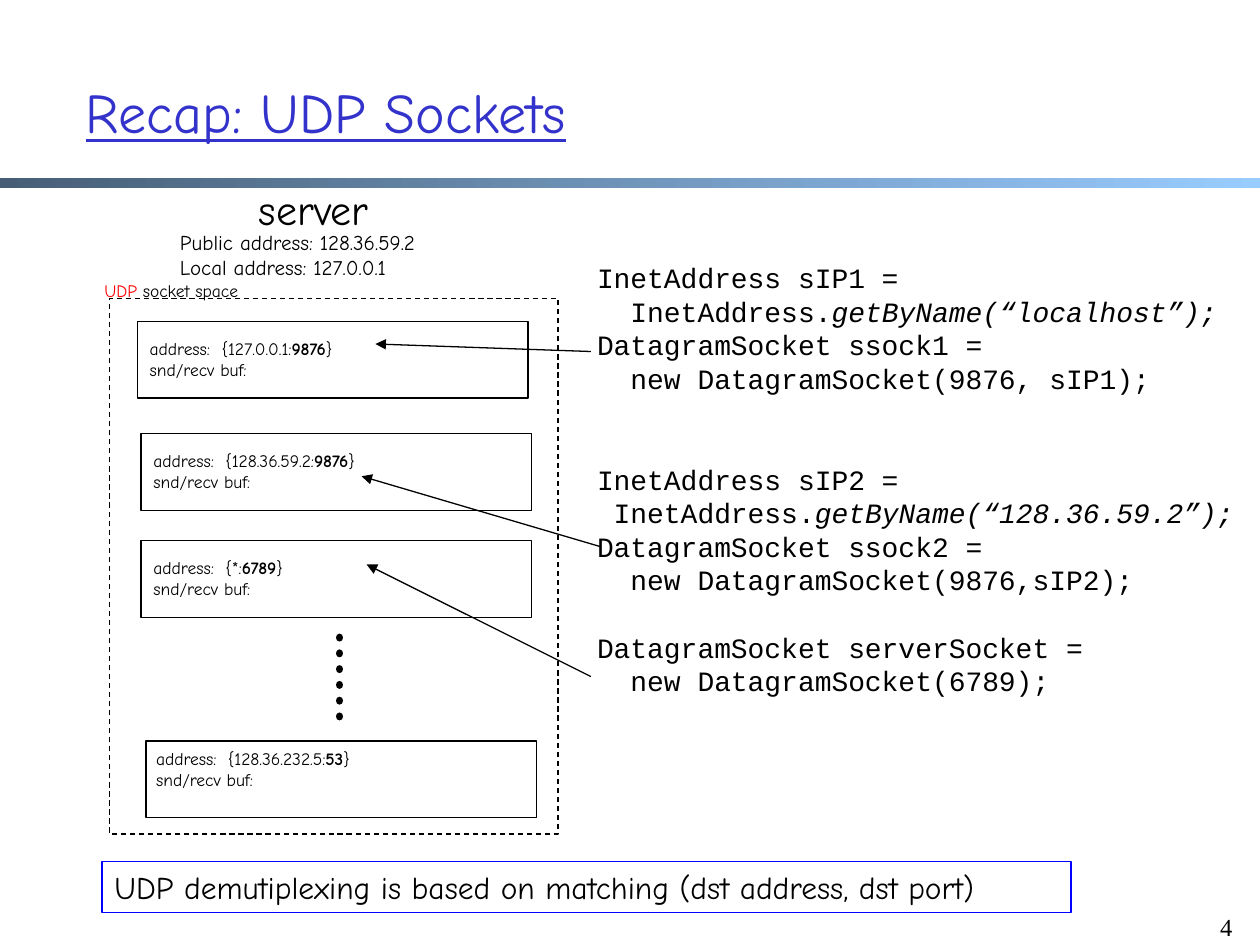
from lxml import etree
from pptx import Presentation
from pptx.dml.color import RGBColor
from pptx.enum.dml import MSO_LINE
from pptx.enum.shapes import MSO_CONNECTOR, MSO_SHAPE
from pptx.enum.text import MSO_ANCHOR, PP_ALIGN
from pptx.oxml.ns import qn
from pptx.util import Inches, Pt

BLACK = RGBColor(0, 0, 0)
RED = RGBColor(0xFF, 0, 0)
BLUE = RGBColor(0, 0, 0xFF)
TITLE_BLUE = RGBColor(0x33, 0x33, 0xCC)
BAR_DARK = RGBColor(0x47, 0x5E, 0x76)
BAR_LIGHT = RGBColor(0x99, 0xCC, 0xFF)

HAND, MONO, SERIF = "Comic Neue", "Courier New", "Times New Roman"
RECT, STRAIGHT = MSO_SHAPE.RECTANGLE, MSO_CONNECTOR.STRAIGHT
DASH, DOT = MSO_LINE.DASH, MSO_LINE.ROUND_DOT
TOP, MIDDLE = MSO_ANCHOR.TOP, MSO_ANCHOR.MIDDLE
LEFT, CENTER, RIGHT = PP_ALIGN.LEFT, PP_ALIGN.CENTER, PP_ALIGN.RIGHT

SLIDE_W, SLIDE_H = Inches(10), Inches(7.5)
COLUMNS = 100
CELL = SLIDE_W / COLUMNS  # square grid: 100 columns by 75 rows

FRAME_W, FRAME_H = 31, 6.1
# column and row inside the socket space, text insets, address, port
SOCKETS = [
    (2.2, 1.8, 1, 1.3, "127.0.0.1", "9876"),
    (2.5, 10.7, 1, 1.3, "128.36.59.2", "9876"),
    (2.5, 19.2, 1, 1.3, "*", "6789"),
    (2.9, 35.1, 0.8, 0.6, "128.36.232.5", "53"),
]
# arrow tip and tail, in cells of the slide
ARROWS = [
    (29.8, 27.3, 46.9, 27.9),
    (28.7, 37.8, 47.7, 43.4),
    (29.1, 44.8, 46.9, 53.7),
]
# blank lines before each block, then its lines as (plain, italic) pairs
CODE = [
    (0, [("InetAddress sIP1 =", ""),
         ("  InetAddress.", "getByName(“localhost”);"),
         ("DatagramSocket ssock1 =", ""),
         ("  new DatagramSocket(9876, sIP1);", "")]),
    (2, [("InetAddress sIP2 =", ""),
         (" InetAddress.", "getByName(“128.36.59.2”);"),
         ("DatagramSocket ssock2 =", ""),
         ("  new DatagramSocket(9876,sIP2);", "")]),
    (1, [("DatagramSocket serverSocket =", ""),
         ("  new DatagramSocket(6789);", "")]),
]
CODE_PITCH = 19.2


def cells(*counts):
    return [round(count * CELL) for count in counts]


def add_run(paragraph, text, size, font=HAND, color=BLACK, **formats):
    run = paragraph.add_run()
    run.text = text
    run.font.color.rgb = color
    for name, value in {"size": Pt(size), "name": font, **formats}.items():
        setattr(run.font, name, value)


def add_text(slide, box, anchor=TOP, align=LEFT):
    """Add an empty wrapping text box and return its frame."""
    frame = slide.shapes.add_textbox(*cells(*box)).text_frame
    frame.word_wrap = True
    frame.vertical_anchor = anchor
    frame.paragraphs[0].alignment = align
    return frame


def add_frame(slide, box, color=BLACK, dash=None):
    """Add an unfilled rectangle and return it."""
    frame = slide.shapes.add_shape(RECT, *cells(*box))
    frame.shadow.inherit = False
    frame.fill.background()
    frame.line.color.rgb = color
    frame.line.width = Pt(0.75)
    if dash:
        frame.line.dash_style = dash
    return frame


def add_line(slide, ends, width=0.75):
    """Add a straight black line; return it with its a:ln element."""
    line = slide.shapes.add_connector(STRAIGHT, *cells(*ends))
    line.line.color.rgb = BLACK
    line.line.width = Pt(width)
    properties = line.line._get_or_add_ln().getparent()
    etree.SubElement(properties, qn("a:effectLst"))
    return line, properties.find(qn("a:ln"))


def add_heading(slide, box):
    title = slide.shapes.title
    title.left, title.top, title.width, title.height = cells(*box)
    title.text_frame.vertical_anchor = MIDDLE
    paragraph = title.text_frame.paragraphs[0]
    paragraph.alignment = LEFT
    add_run(paragraph, "Recap: UDP Sockets", 32, color=TITLE_BLUE, underline=True)


def add_bar(slide, box):
    bar = slide.shapes.add_shape(RECT, *cells(*box))
    bar.shadow.inherit = False
    bar.line.fill.background()
    bar.fill.gradient()
    bar.fill.gradient_angle = 0
    for stop, color in zip(bar.fill.gradient_stops, (BAR_DARK, BAR_LIGHT)):
        stop.color.rgb = color


def add_server_labels(slide, box):
    left, top, width, _ = box
    server = add_text(slide, (left, top, width, 5), MIDDLE, CENTER)
    add_run(server.paragraphs[0], "server", 24)
    addresses = add_text(slide, (left - 2.7, top + 3.6, width + 8, 5.1))
    addresses.text = ""
    for index, text in enumerate(("Public address: 128.36.59.2",
                                  "Local address: 127.0.0.1")):
        paragraph = addresses.add_paragraph() if index else addresses.paragraphs[0]
        add_run(paragraph, text, 12)


def add_socket(slide, box, insets, address, port):
    frame = add_frame(slide, box).text_frame
    frame.vertical_anchor = TOP
    frame.word_wrap = True
    frame.margin_left, frame.margin_top = cells(*insets)
    first, second = frame.paragraphs[0], frame.add_paragraph()
    first.alignment = second.alignment = LEFT
    tabs = etree.SubElement(first._p.get_or_add_pPr(), qn("a:tabLst"))
    etree.SubElement(tabs, qn("a:tab"), pos=str(cells(5.7)[0]), algn="l")
    add_run(first, f"address:\t{{{address}:", 10)
    add_run(first, port, 10, bold=True)
    add_run(first, "}", 10)
    add_run(second, "snd/recv buf:", 10)


def add_socket_space(slide, box):
    left, top, _, _ = box
    add_frame(slide, box, dash=DASH)
    label = add_text(slide, (left - 1.4, top - 2, 14, 2.7)).paragraphs[0]
    add_run(label, "UDP", 10, color=RED)
    add_run(label, " socket space", 10)
    for column, row, inset_x, inset_y, address, port in SOCKETS:
        add_socket(slide, (left + column, top + row, FRAME_W, FRAME_H),
                   (inset_x, inset_y), address, port)
    dots_x = left + 18.25
    dots, outline = add_line(slide, (dots_x, top + 26.9, dots_x, top + 33.6), 4.5)
    dots.line.dash_style = DOT
    outline.set("cap", "rnd")


def add_code(slide, box):
    frame = add_text(slide, box)
    paragraph = frame.paragraphs[0]
    for blank_lines, lines in CODE:
        for index, (plain, italic) in enumerate(lines):
            if blank_lines or index:
                paragraph = frame.add_paragraph()
            if blank_lines and not index:
                paragraph.space_before = Pt(blank_lines * CODE_PITCH)
            add_run(paragraph, plain, 16, MONO)
            if italic:
                add_run(paragraph, italic, 16, MONO, italic=True)


def add_arrows(slide):
    for ends in ARROWS:
        _, outline = add_line(slide, ends)
        etree.SubElement(outline, qn("a:headEnd"), type="triangle")


def add_summary(slide, box):
    frame = add_frame(slide, box, BLUE).text_frame
    frame.vertical_anchor = TOP
    frame.word_wrap = True
    paragraph = frame.paragraphs[0]
    paragraph.alignment = LEFT
    add_run(paragraph, "UDP demutiplexing is based on matching (dst address, dst port)", 18)


def main():
    deck = Presentation()
    deck.slide_width, deck.slide_height = SLIDE_W, SLIDE_H
    slide = deck.slides.add_slide(deck.slide_layouts[5])
    add_bar(slide, (0, 14.1, COLUMNS, 0.8))
    add_heading(slide, (5.8, 2.6, 90.4, 12.5))
    add_server_labels(slide, (16, 14.1, 17.8, 9))
    add_socket_space(slide, (8.7, 23.7, 35.6, 42.5))
    add_code(slide, (46.4, 20.2, 53.6, 36))
    add_arrows(slide)
    add_summary(slide, (8.1, 68.4, 76.9, 4))
    number = add_text(slide, (93.8, 71.9, 5, 5), align=RIGHT)
    add_run(number.paragraphs[0], "4", 14, SERIF)
    deck.save("out.pptx")


if __name__ == "__main__":
    main()
